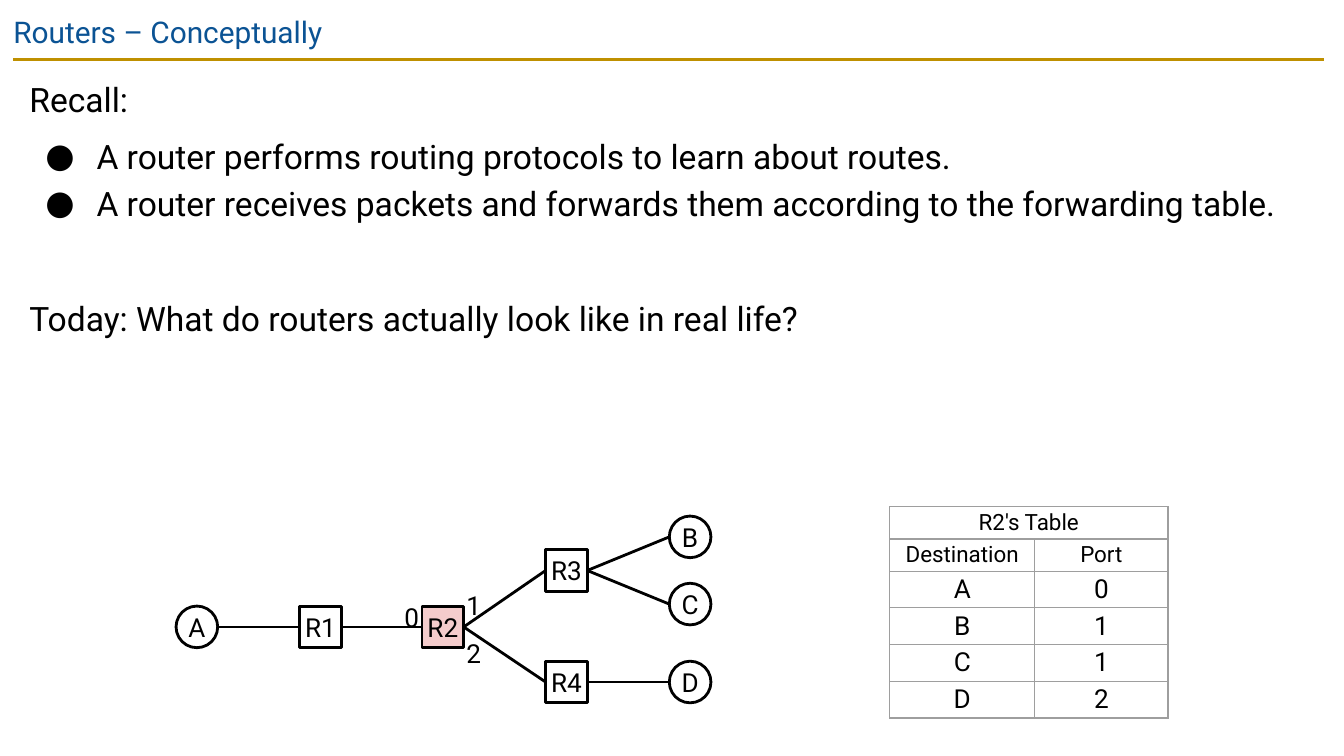
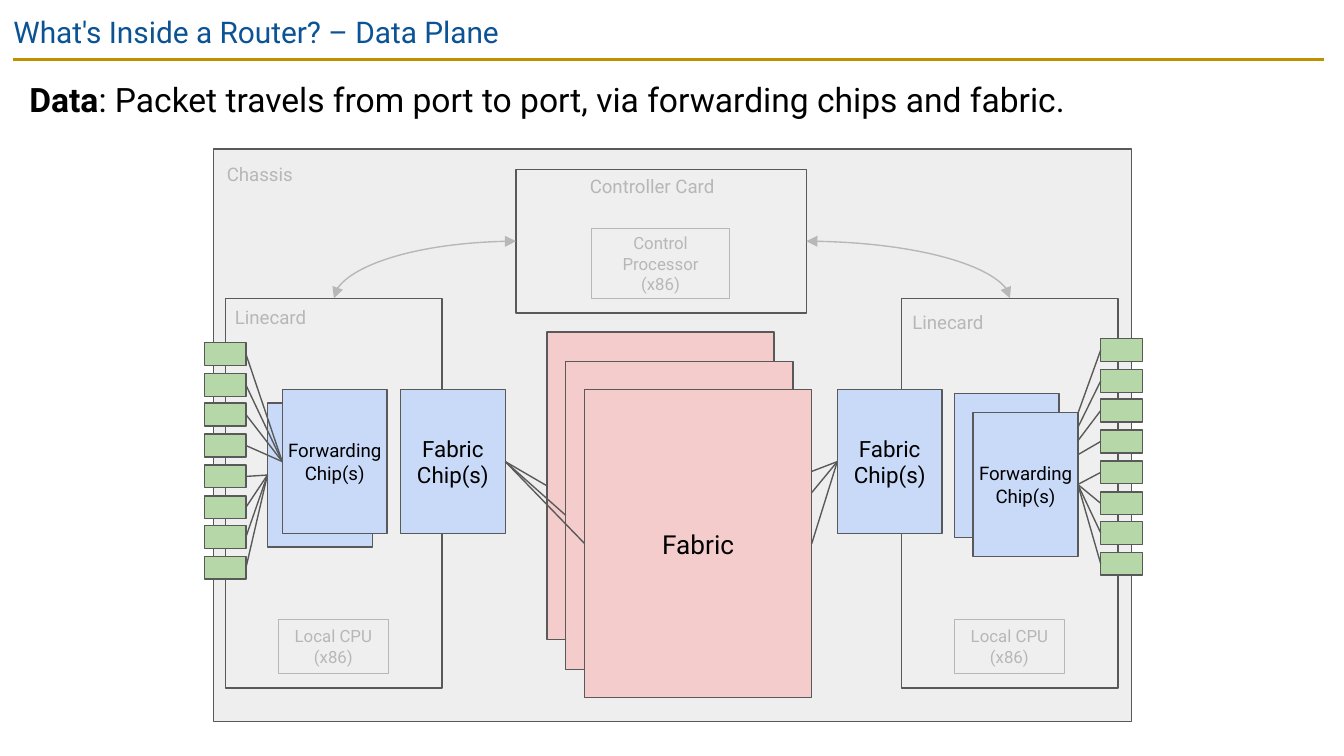
"""Build two slides on routers: the concept, and the data plane inside a router."""
from lxml.etree import SubElement
from pptx import Presentation
from pptx.dml.color import RGBColor
from pptx.enum.shapes import MSO_CONNECTOR as LINE, MSO_SHAPE as SHAPE
from pptx.enum.text import MSO_ANCHOR as ANCHOR, MSO_AUTO_SIZE as FIT, PP_ALIGN as ALIGN
from pptx.oxml.ns import qn
from pptx.shapes.connector import Connector
from pptx.util import Pt

PX = 9144
FONT = "Roboto"
BLACK = RGBColor(0x00, 0x00, 0x00)
WHITE = RGBColor(0xFF, 0xFF, 0xFF)
BLUE = RGBColor(0x0B, 0x53, 0x94)
GOLD = RGBColor(0xBF, 0x90, 0x00)
PINK = RGBColor(0xF4, 0xCC, 0xCC)
GREEN = RGBColor(0xB6, 0xD7, 0xA8)
PALE_BLUE = RGBColor(0xC9, 0xDA, 0xF8)
CHASSIS_GRAY = RGBColor(0xEE, 0xEE, 0xEE)
CARD_GRAY = RGBColor(0xEF, 0xEF, 0xEF)
DARK_GRAY = RGBColor(0x59, 0x59, 0x59)
TABLE_GRAY = RGBColor(0x9E, 0x9E, 0x9E)
FADED = RGBColor(0xB7, 0xB7, 0xB7)
TOP, LEFT, BOTTOM, RIGHT = range(4)


def add_box(slide, at, text="", size=10, color=BLACK, fill=None, line=DARK_GRAY,
            weight=0.75, inset=0, kind=SHAPE.RECTANGLE, spacing=None):
    """Add a filled shape with centred text, or a plain text box when there is no fill."""
    place = [value * PX for value in at]
    if fill is None:
        box = slide.shapes.add_textbox(*place)
    else:
        box = slide.shapes.add_shape(kind, *place)
        box.shadow.inherit = False
        box.fill.solid()
        box.fill.fore_color.rgb = fill
        box.line.color.rgb = line
        box.line.width = Pt(weight)
    frame = box.text_frame
    frame.word_wrap = True
    frame.vertical_anchor = ANCHOR.TOP if fill is None else ANCHOR.MIDDLE
    frame.margin_left = frame.margin_right = frame.margin_top = frame.margin_bottom = inset * PX
    frame.text = text
    for paragraph in frame.paragraphs:
        paragraph.alignment = ALIGN.LEFT if fill is None else ALIGN.CENTER
        paragraph.line_spacing = spacing
        for run in paragraph.runs:
            run.font.name, run.font.size = FONT, Pt(size)
            run.font.color.rgb = color
    return box


def add_link(slide, start, end, color=DARK_GRAY, weight=0.75, kind=LINE.STRAIGHT):
    """Link two (shape, side) ends, joining those that lie on rectangles."""
    points = []
    for shape, side in (start, end):
        across = {LEFT: 0, RIGHT: 2}.get(side, 1)
        down = {TOP: 0, BOTTOM: 2}.get(side, 1)
        points += [shape.left + shape.width * across // 2, shape.top + shape.height * down // 2]
    link = slide.shapes.add_connector(kind, *points)
    for (shape, side), join in ((start, link.begin_connect), (end, link.end_connect)):
        if shape.auto_shape_type == SHAPE.RECTANGLE:
            join(shape, side)
    link.line.color.rgb = color
    link.line.width = Pt(weight)
    return link


presentation = Presentation()
presentation.slide_width = 1000 * PX
presentation.slide_height = presentation.slide_width * 9 // 16

for heading in ("Routers – Conceptually", "What's Inside a Router? – Data Plane"):
    slide = presentation.slides.add_slide(presentation.slide_layouts[5])
    rule = slide.shapes.add_connector(LINE.STRAIGHT, 10 * PX, 44 * PX, 985 * PX, 44 * PX)
    rule.line.color.rgb = GOLD
    rule.line.width = Pt(1.5)
    title = slide.shapes.title
    title.left, title.top, title.width, title.height = 0, 0, 1000 * PX, 43 * PX
    frame = title.text_frame
    frame.text = heading
    frame.auto_size = FIT.NONE
    frame.vertical_anchor = ANCHOR.TOP
    frame.margin_left = frame.margin_right = frame.margin_top = frame.margin_bottom = 10 * PX
    frame.paragraphs[0].alignment = ALIGN.LEFT
    font = frame.paragraphs[0].runs[0].font
    font.name, font.size = FONT, Pt(16)
    font.color.rgb = BLUE

concept, data_plane = presentation.slides

recall = "\n".join((
    "Recall:",
    "A router performs routing protocols to learn about routes.",
    "A router receives packets and forwards them according to the forwarding table.",
    "Today: What do routers actually look like in real life?",
))
body = add_box(concept, (12, 44, 974, 321), recall, 18, inset=10, spacing=1.15)
paragraphs = body.text_frame.paragraphs
for paragraph, space in zip(paragraphs[1:], (6, 0, 37)):
    paragraph.space_before = Pt(space)
for paragraph in paragraphs[1:3]:
    properties = paragraph._p.get_or_add_pPr()
    properties.set("marL", str(50 * PX))
    properties.set("indent", str(-38 * PX))
    SubElement(properties, qn("a:buFont")).set("typeface", FONT)
    SubElement(properties, qn("a:buChar")).set("char", "●")

nodes = {}
for name, x, y in (("R2", 314, 451), ("R1", 223, 451), ("A", 131, 451), ("R3", 406, 409),
                   ("R4", 406, 492), ("B", 498, 384), ("C", 498, 434), ("D", 498, 492)):
    nodes[name] = add_box(concept, (x, y, 31, 31), name, 14, line=BLACK, weight=1.5,
                          fill=PINK if name == "R2" else WHITE,
                          kind=SHAPE.RECTANGLE if name.startswith("R") else SHAPE.OVAL)
for source, target in (("A", "R1"), ("R1", "R2"), ("R2", "R3"), ("R2", "R4"),
                       ("R3", "B"), ("R3", "C"), ("R4", "D")):
    add_link(concept, (nodes[source], RIGHT), (nodes[target], LEFT), BLACK, 1.5)
for port, x, y in (("0", 301, 444), ("1", 347, 435), ("2", 347, 471)):
    add_box(concept, (x, y, 10, 24), port, 14, spacing=1.15)

rows = (("R2's Table", ""), ("Destination", "Port"), ("A", "0"), ("B", "1"), ("C", "1"), ("D", "2"))
table = concept.shapes.add_table(6, 2, 662 * PX, 377 * PX, 207 * PX, 156 * PX).table
table.first_row = table.horz_banding = False
table.columns[0].width, table.columns[1].width = 108 * PX, 99 * PX
table.cell(0, 0).merge(table.cell(0, 1))
for row, values in enumerate(rows):
    table.rows[row].height = (24 if row < 2 else 27) * PX
    for column, value in enumerate(values):
        cell = table.cell(row, column)
        cell.text = value
        cell.vertical_anchor = ANCHOR.MIDDLE
        cell.margin_left = cell.margin_right = 0
        cell.margin_top = cell.margin_bottom = 2 * PX
        paragraph = cell.text_frame.paragraphs[0]
        paragraph.alignment = ALIGN.CENTER
        for run in paragraph.runs:
            run.font.name, run.font.size = FONT, Pt(12 if row < 2 else 14)
            run.font.color.rgb = BLACK
        properties = cell._tc.get_or_add_tcPr()
        for edge in ("a:lnL", "a:lnR", "a:lnT", "a:lnB"):
            border = SubElement(properties, qn(edge), w=str(Pt(0.75)))
            paint = SubElement(border, qn("a:solidFill"))
            SubElement(paint, qn("a:srgbClr")).set("val", str(TABLE_GRAY))
        SubElement(properties, qn("a:noFill"))

add_box(data_plane, (159, 111, 683, 426), fill=CHASSIS_GRAY)
left_card = add_box(data_plane, (168, 222, 161, 290), fill=CARD_GRAY)
right_card = add_box(data_plane, (671, 222, 161, 290), fill=CARD_GRAY)
controller = add_box(data_plane, (384, 126, 216, 107), fill=CARD_GRAY)
for text, at in (("Local CPU (x86)", (207, 461, 82, 40)),
                 ("Control Processor (x86)", (440, 170, 103, 52)),
                 ("Local CPU (x86)", (710, 461, 82, 40))):
    add_box(data_plane, at, text, 9, FADED, CARD_GRAY, FADED, inset=10)
for text, at in (("Linecard", (669, 223, 96, 37)), ("Linecard", (165, 219, 96, 37)),
                 ("Controller Card", (429, 122, 143, 37)), ("Chassis", (159, 113, 143, 37))):
    add_box(data_plane, at, text, color=FADED, inset=10)

for side, card in ((LEFT, left_card), (RIGHT, right_card)):
    curve = add_link(data_plane, (controller, side), (card, TOP), FADED, kind=LINE.CURVE)
    curve._element.spPr.find(qn("a:prstGeom")).set("prst", "curvedConnector2")
    outline = curve.line._get_or_add_ln()
    for arrow in ("a:headEnd", "a:tailEnd"):
        SubElement(outline, qn(arrow)).set("type", "triangle")

fabric_chips = [add_box(data_plane, (x, 290, 78, 107), "Fabric Chip(s)", 12,
                        fill=PALE_BLUE, inset=10) for x in (298, 623)]
for x, y, text in ((407, 247, ""), (421, 269, ""), (435, 290, "Fabric")):
    sheet = add_box(data_plane, (x, y, 169, 229), text, 14, fill=PINK, inset=10)
    add_link(data_plane, (fabric_chips[0], RIGHT), (sheet, LEFT))
    add_link(data_plane, (sheet, RIGHT), (fabric_chips[1], LEFT))

for port_x, port_y, port_side, chip_side, back, front, back_first in (
        (152, 255, RIGHT, LEFT, (199, 300), (210, 290), 4),
        (819, 252, LEFT, RIGHT, (710, 293), (724, 307), 0)):
    ports = [add_box(data_plane, (port_x, port_y + round(159 * index / 7), 31, 17), fill=GREEN)
             for index in range(8)]
    for (x, y), text, first in ((back, "", back_first),
                                (front, "Forwarding Chip(s)", 4 - back_first)):
        chip = add_box(data_plane, (x, y, 78, 107), text, fill=PALE_BLUE)
        for port in ports[first:first + 4]:
            add_link(data_plane, (port, port_side), (chip, chip_side))

summary = add_box(data_plane, (12, 44, 974, 57), "Data", 18, inset=10, spacing=1.15)
paragraph = summary.text_frame.paragraphs[0]
paragraph.runs[0].font.bold = True
run = paragraph.add_run()
run.text = ": Packet travels from port to port, via forwarding chips and fabric."
run.font.name, run.font.size = FONT, Pt(18)
run.font.color.rgb = BLACK

for slide in presentation.slides:
    for shape in slide.shapes:
        if isinstance(shape, Connector):
            SubElement(shape._element.spPr, qn("a:effectLst"))

presentation.save("out.pptx")
